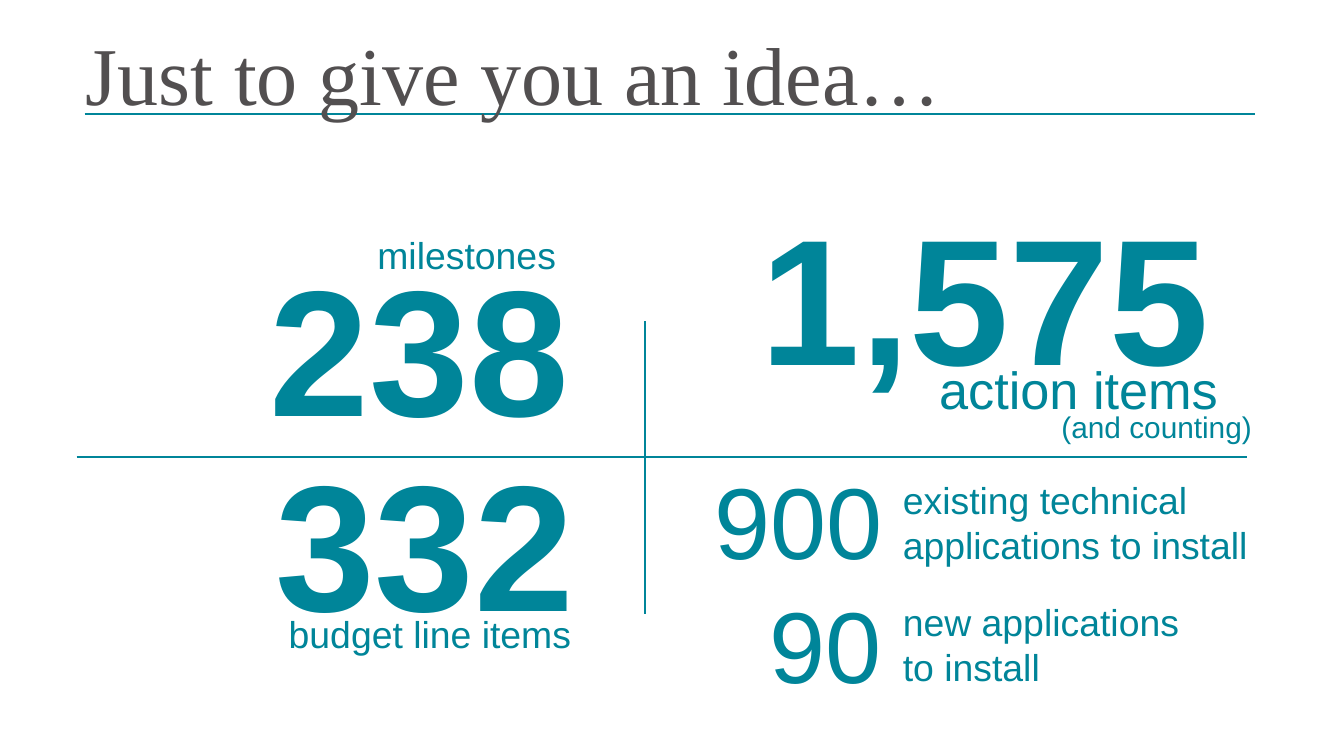
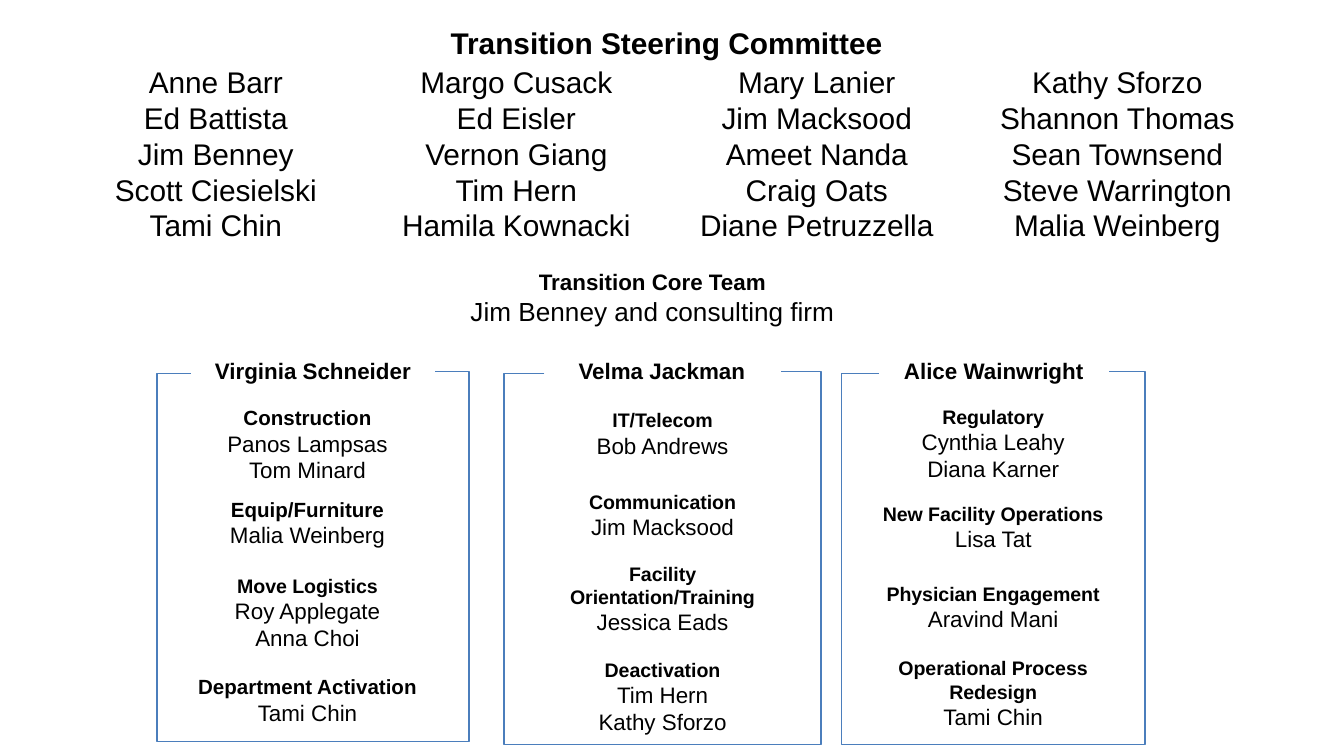
from pptx import Presentation
from pptx.dml.color import RGBColor
from pptx.enum.shapes import MSO_CONNECTOR, MSO_SHAPE
from pptx.enum.text import MSO_ANCHOR, PP_ALIGN
from pptx.oxml.ns import qn
from pptx.util import Pt
from lxml import etree

TEAL = RGBColor(0x00, 0x85, 0x99)
GRAY = RGBColor(0x52, 0x4F, 0x50)
BLUE = RGBColor(0x4B, 0x7E, 0xBC)
BLACK = RGBColor(0, 0, 0)
WHITE = RGBColor(255, 255, 255)
BODY_FONT, TITLE_FONT = "Arial", "Times New Roman"


def add_text(s, box, lines, color, font=BODY_FONT, spacing=None):
    """Add a left-aligned text box; lines holds (text, size, bold)."""
    sp = s.shapes.add_textbox(*map(Pt, box))
    tf = sp.text_frame
    tf.word_wrap = True
    for i, (text, size, bold) in enumerate(lines):
        p = tf.paragraphs[0] if i == 0 else tf.add_paragraph()
        p.line_spacing = spacing
        r = p.add_run()
        r.text = text
        r.font.name, r.font.size, r.font.bold = font, Pt(size), bold
        r.font.color.rgb = color
    return tf


def add_card(s, box, lines):
    """Add a white rectangle with centred black lines of (text, size, bold)."""
    sp = s.shapes.add_shape(MSO_SHAPE.RECTANGLE, *map(Pt, box))
    sp.shadow.inherit = False
    sp.fill.solid()
    sp.fill.fore_color.rgb = WHITE
    sp.line.fill.background()
    tf = sp.text_frame
    tf.word_wrap = True
    tf.vertical_anchor = MSO_ANCHOR.MIDDLE
    tf.margin_top = tf.margin_bottom = 0
    for i, (text, size, bold) in enumerate(lines):
        p = tf.paragraphs[0] if i == 0 else tf.add_paragraph()
        p.alignment = PP_ALIGN.CENTER
        r = p.add_run()
        r.text = text
        r.font.name, r.font.size, r.font.bold = BODY_FONT, Pt(size), bold
        r.font.color.rgb = BLACK
    return tf


prs = Presentation()
prs.slide_width, prs.slide_height = Pt(720), Pt(405)
blank = prs.slide_layouts[6]

# Slide 1: project figures
s = prs.slides.add_slide(blank)
rules = [
    (45.4, 61.2, 672.5, 61.2),
    (41, 244.8, 668.2, 244.8),
    (345.6, 172.1, 345.6, 329),
]
for ends in rules:
    rule = s.shapes.add_connector(MSO_CONNECTOR.STRAIGHT, *map(Pt, ends))
    rule.line.color.rgb = TEAL
    rule.line.width = Pt(1)
    etree.SubElement(rule._element.spPr, qn("a:effectLst"))

tf = add_text(s, (39, 0, 634, 69), [("Just to give you an idea…", 44, False)],
              GRAY, TITLE_FONT)
tf.vertical_anchor = MSO_ANCHOR.BOTTOM

figures = [
    ("238", 96, (137.5, 136.8, 186.5, 103.7)),
    ("1,575", 96, (400.3, 109.4, 279.4, 73.4)),
    ("332", 96, (140.4, 241.2, 183.6, 93.6)),
    ("900", 54, (375.8, 249.8, 118, 57.6)),
    ("90", 54, (405.4, 316.1, 88.6, 56.9)),
]
for number, size, box in figures:
    add_text(s, box, [(number, size, size == 96)], TEAL, spacing=0.9)

captions = [
    (["milestones"], 20, (195.1, 121, 110.5, 31.5)),
    (["(and counting)"], 16, (561.6, 215.3, 119, 26.6)),
    (["action items"], 28, (496.1, 187.9, 172, 41)),
    (["budget line items"], 20, (147.6, 324, 170.6, 31.5)),
    (["existing technical applications to install"], 20, (476.6, 252, 208.8, 55.4)),
    (["new applications", "to install"], 20, (476.6, 317.5, 208.8, 55.4)),
]
for texts, size, box in captions:
    add_text(s, box, [(text, size, False) for text in texts], TEAL)

# Slide 2: committee and teams
s = prs.slides.add_slide(blank)
members = [
    "Anne Barr", "Ed Battista", "Jim Benney", "Scott Ciesielski", "Tami Chin",
    "Margo Cusack", "Ed Eisler", "Vernon Giang", "Tim Hern", "Hamila Kownacki",
    "Mary Lanier", "Jim Macksood", "Ameet Nanda", "Craig Oats", "Diane Petruzzella",
    "Kathy Sforzo", "Shannon Thomas", "Sean Townsend", "Steve Warrington",
    "Malia Weinberg",
]
tf = add_card(s, (28.1, 31, 658.1, 102.2), [(name, 16, False) for name in members])
tf.margin_top = tf.margin_bottom = Pt(28.8)
tf._txBody.bodyPr.set("numCol", "4")

tf = add_card(s, (28.1, 10.1, 658.1, 20.2), [("Transition Steering Committee", 16, True)])
tf.margin_top = Pt(5)
add_card(s, (176.4, 141.1, 346.3, 36.7), [
    ("Transition Core Team", 12, True),
    ("Jim Benney and consulting firm", 14, False),
])

# Each team: leader, leader box, card left and width, bracket, groups.
# Bracket: left stub end, left, right, right stub end, bottom.
# Group: top, height, heading size, heading, names.
teams = [
    ("Virginia Schneider", (102.2, 187.9, 131, 22.3), 90.5, 148.5,
     (102.2, 84.2, 251.3, 233.3, 397.4), [
         (215.3, 45.4, 11, "Construction", ["Panos Lampsas", "Tom Minard"]),
         (263.8, 32.4, 11, "Equip/Furniture", ["Malia Weinberg"]),
         (306.7, 42.5, 10.5, "Move Logistics", ["Roy Applegate", "Anna Choi"]),
         (355.7, 38.9, 11, "Department Activation", ["Tami Chin"]),
     ]),
    ("Velma Jackman", (302.4, 187.9, 104.4, 21.6), 281.5, 147,
     (291.6, 270, 439.9, 418.3, 398.9), [
         (215.3, 33.8, 10.5, "IT/Telecom", ["Bob Andrews"]),
         (259.2, 33.8, 10.5, "Communication", ["Jim Macksood"]),
         (296.6, 48.2, 10.5, "Facility Orientation/Training", ["Jessica Eads"]),
         (349.9, 46.1, 10.5, "Deactivation", ["Tim Hern", "Kathy Sforzo"]),
     ]),
    ("Alice Wainwright", (476.6, 187.9, 111.6, 21.6), 459, 146.2,
     (471, 450.7, 613.4, 594, 398.9), [
         (216.7, 41.8, 10.5, "Regulatory", ["Cynthia Leahy", "Diana Karner"]),
         (265.7, 33.1, 10.5, "New Facility Operations", ["Lisa Tat"]),
         (306.7, 36.7, 10.5, "Physician Engagement", ["Aravind Mani"]),
         (351.4, 39.6, 10.5, "Operational Process Redesign", ["Tami Chin"]),
     ]),
]
for leader, leader_box, left, width, bracket, groups in teams:
    for top, height, size, heading, names in groups:
        add_card(s, (left, top, width, height),
                 [(heading, size, True)] + [(name, 12, False) for name in names])

    tf = add_text(s, leader_box, [(leader, 12, True)], BLACK)
    tf.word_wrap = False
    tf.paragraphs[0].alignment = PP_ALIGN.CENTER

    stub_left, x1, x2, stub_right, bottom = map(Pt, bracket)
    y1, y2 = Pt(200.2), Pt(199)
    outline = s.shapes.build_freeform(stub_left, y1)
    outline.add_line_segments(
        [(x1, y1), (x1, bottom), (x2, bottom), (x2, y2), (stub_right, y2)], close=False)
    sp = outline.convert_to_shape()
    sp.shadow.inherit = False
    sp.fill.background()
    sp.line.color.rgb = BLUE
    sp.line.width = Pt(0.75)

prs.save("out.pptx")
